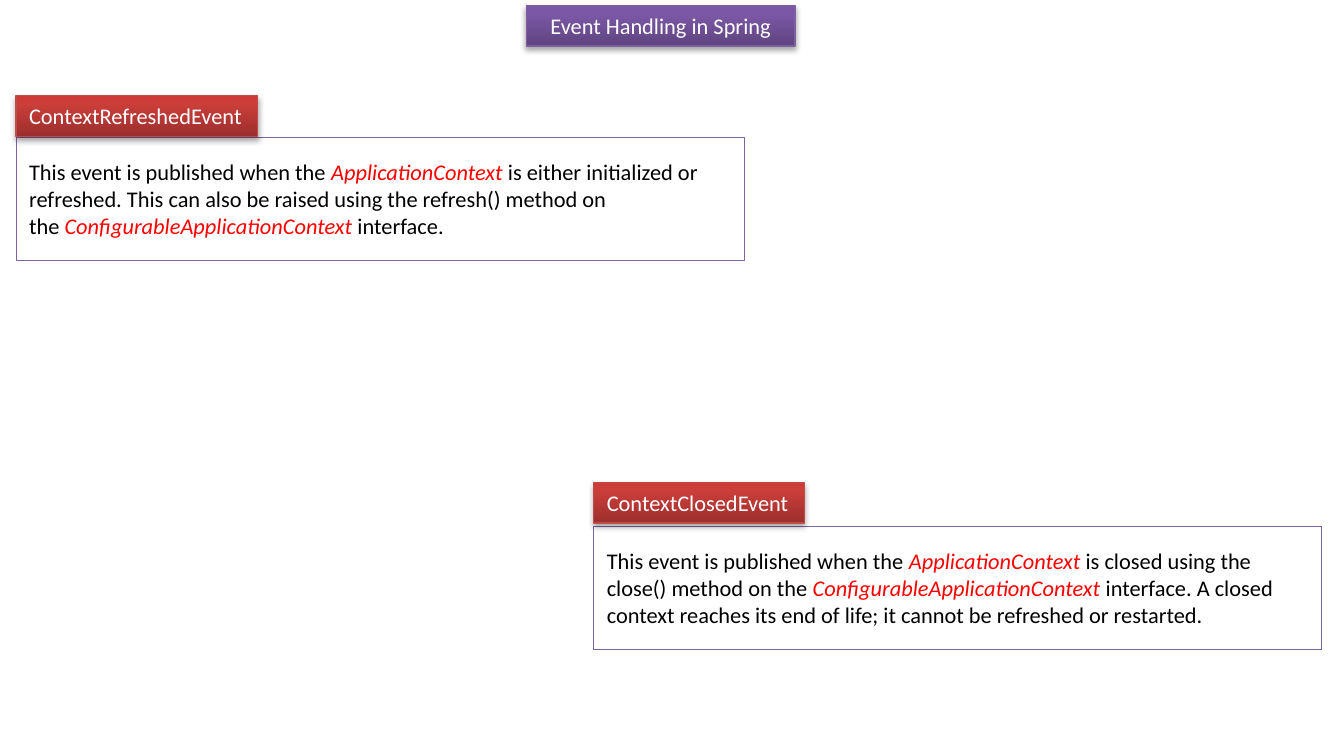
from pptx import Presentation
from pptx.dml.color import RGBColor
from pptx.enum.shapes import MSO_SHAPE
from pptx.enum.text import MSO_ANCHOR, MSO_AUTO_SIZE, PP_ALIGN
from pptx.oxml import parse_xml
from pptx.oxml.ns import nsdecls
from pptx.util import Pt

HARD_SPACE = chr(160)  # keeps the words on both sides on one line
TITLE = "Event Handling in Spring"
# Each event: name, left, label top, label width, body top, spans (text, is a type name)
EVENTS = [
    ("ContextRefreshedEvent", 8.5, 51.25, 129.6, 73.5, [
        (f"This event is published when the{HARD_SPACE}", False),
        ("ApplicationContext", True),
        (f"{HARD_SPACE}is either initialized or refreshed. This can also be "
         f"raised using the refresh() method on the{HARD_SPACE}", False),
        ("ConfigurableApplicationContext", True),
        (f"{HARD_SPACE}interface.", False),
    ]),
    ("ContextClosedEvent", 318, 258.5, 113, 282, [
        (f"This event is published when the{HARD_SPACE}", False),
        ("ApplicationContext", True),
        (f"{HARD_SPACE}is closed using the close() method on the{HARD_SPACE}", False),
        ("ConfigurableApplicationContext ", True),
        ("interface. A closed context reaches its end of life; "
         "it cannot be refreshed or restarted.", False),
    ]),
]
# Gradient stops from bottom to top, then the line colour
PURPLE = ([(0, "5F4480"), (80, "7B58A6"), (100, "7C57A8")], "7D60A0")
RED = ([(0, "9C2F2D"), (80, "CB3E3A"), (100, "CE3B37")], "BF4C48")
LABEL_HEIGHT = 21.8
BODY_WIDTH, BODY_HEIGHT = 390, 66


def color(hex_text):
    return RGBColor.from_string(hex_text)


def place(shape, left, top, width, height):
    shape.left, shape.top = Pt(left), Pt(top)
    shape.width, shape.height = Pt(width), Pt(height)


def style_span(span, hex_text, italic=False):
    span.font.name = "Calibri"
    span.font.size = Pt(12)
    span.font.italic = italic
    span.font.color.rgb = color(hex_text)


def style_label(shape, text, palette, alignment):
    """Give a shape the gradient, outline, shadow and white text of a label."""
    stops, line_color = palette
    shape.fill.gradient()
    shape.fill.gradient_angle = 90
    stop_list = shape._element.spPr.find(".//{*}gsLst")
    for old_stop in list(stop_list):
        stop_list.remove(old_stop)
    for position, hex_text in stops:
        stop_list.append(parse_xml(
            f'<a:gs {nsdecls("a")} pos="{position * 1000}">'
            f'<a:srgbClr val="{hex_text}"/></a:gs>'))
    shape.line.color.rgb = color(line_color)
    shape.line.width = Pt(0.75)
    shape.shadow.inherit = False
    shape._element.spPr.find("{*}effectLst").append(parse_xml(
        f'<a:outerShdw {nsdecls("a")} blurRad="{Pt(3.1)}" dist="{Pt(1.8)}" '
        'dir="5400000" rotWithShape="0"><a:srgbClr val="000000">'
        '<a:alpha val="35000"/></a:srgbClr></a:outerShdw>'))
    frame = shape.text_frame
    frame.text = text
    frame.auto_size = MSO_AUTO_SIZE.NONE
    frame.vertical_anchor = MSO_ANCHOR.TOP
    para = frame.paragraphs[0]
    para.alignment = alignment
    style_span(para.runs[0], "FFFFFF")


def add_rectangle(slide, left, top, width, height):
    return slide.shapes.add_shape(
        MSO_SHAPE.RECTANGLE, Pt(left), Pt(top), Pt(width), Pt(height))


def add_body(slide, left, top, spans):
    box = add_rectangle(slide, left, top, BODY_WIDTH, BODY_HEIGHT)
    box.shadow.inherit = False
    box.fill.solid()
    box.fill.fore_color.rgb = color("FFFFFF")
    box.line.color.rgb = color("8064A2")
    box.line.width = Pt(0.25)
    frame = box.text_frame
    frame.word_wrap = True
    frame.vertical_anchor = MSO_ANCHOR.MIDDLE
    para = frame.paragraphs[0]
    para.alignment = PP_ALIGN.LEFT
    for text, is_type in spans:
        span = para.add_run()
        span.text = text
        style_span(span, "FF0000" if is_type else "000000", is_type)


def main():
    deck = Presentation()
    deck.slide_width, deck.slide_height = Pt(720), Pt(396)
    slide = deck.slides.add_slide(deck.slide_layouts[5])

    title = slide.shapes.title
    place(title, 282, 2.9, 144, LABEL_HEIGHT)
    style_label(title, TITLE, PURPLE, PP_ALIGN.CENTER)

    for _, left, _, _, body_top, spans in EVENTS:
        add_body(slide, left, body_top, spans)
    for name, left, label_top, label_width, _, _ in EVENTS:
        label = add_rectangle(slide, left, label_top, label_width, LABEL_HEIGHT)
        style_label(label, name, RED, PP_ALIGN.LEFT)
        label.text_frame.word_wrap = False

    deck.save("out.pptx")


if __name__ == "__main__":
    main()
